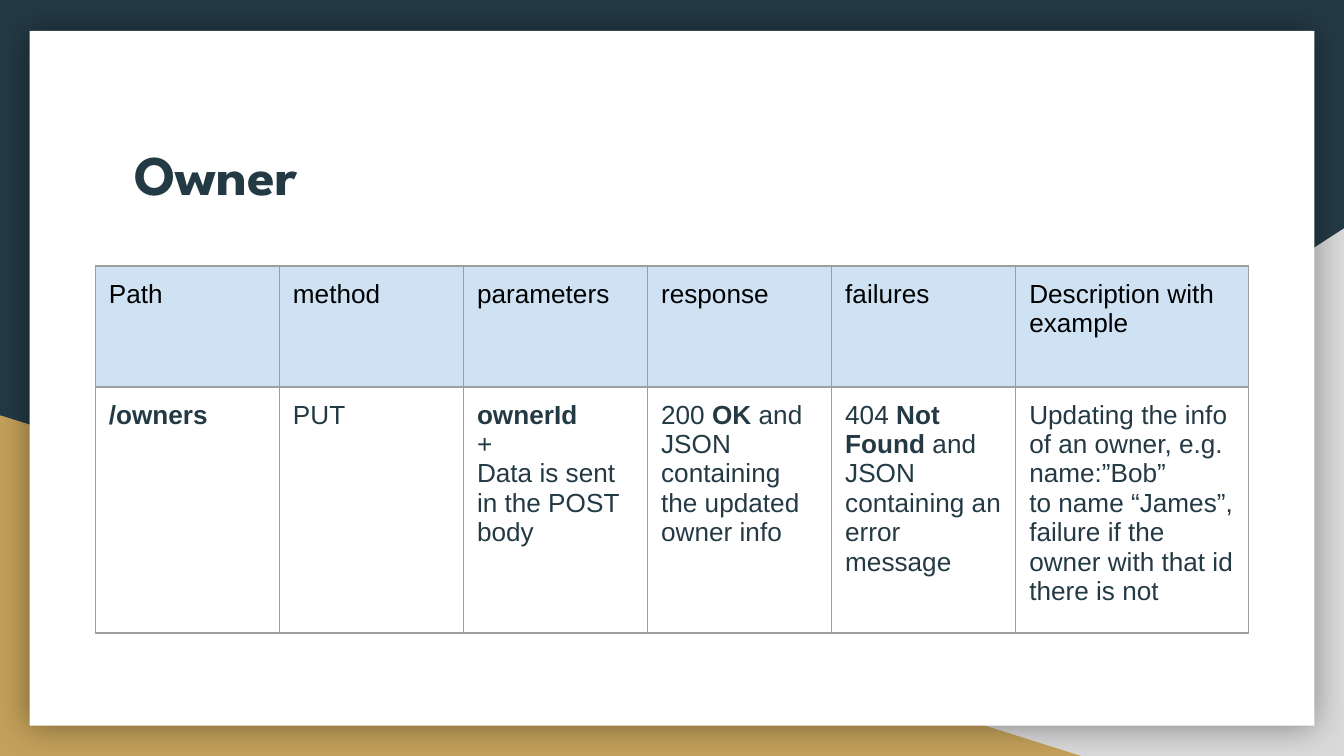
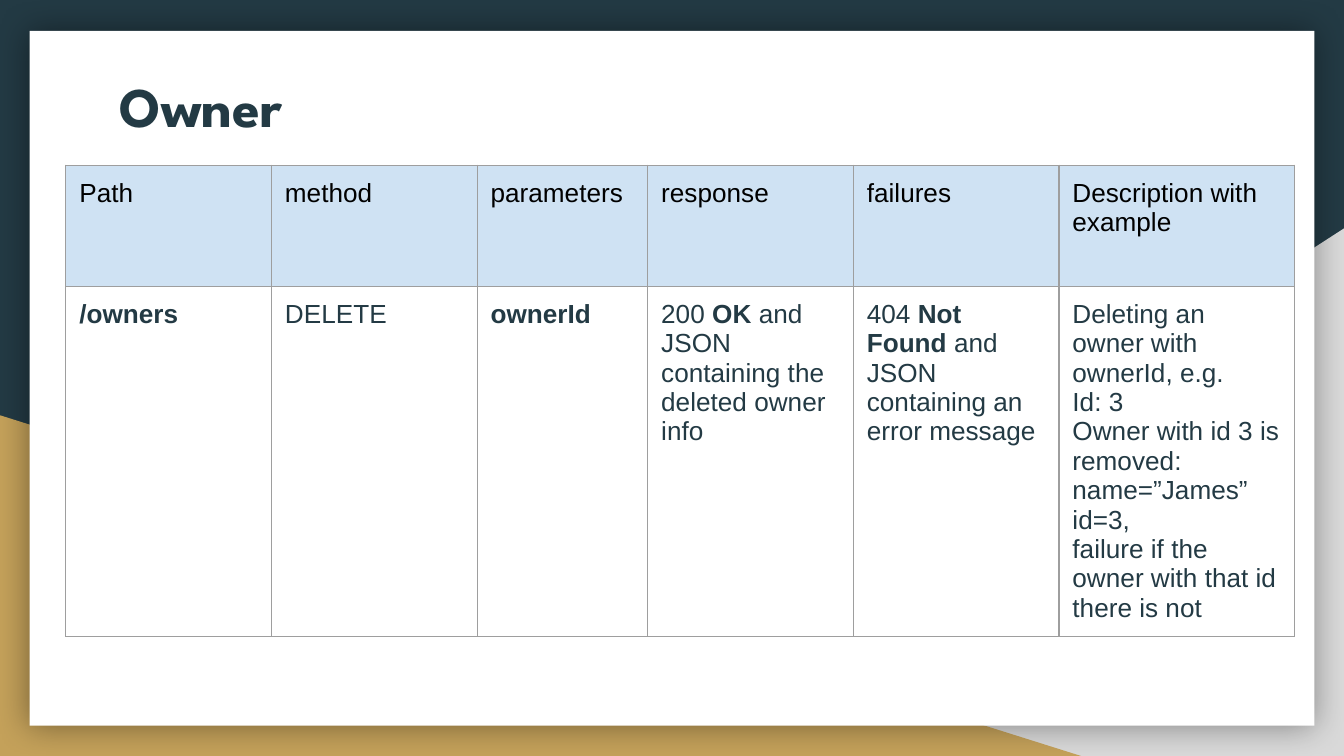
import pptx
import pptx.dml.color
import pptx.enum.shapes
import pptx.enum.text
import pptx.oxml
import pptx.oxml.ns
import pptx.util

Inches = pptx.util.Inches
Pt = pptx.util.Pt
RGBColor = pptx.dml.color.RGBColor
MSO_SHAPE = pptx.enum.shapes.MSO_SHAPE

NAVY = RGBColor(0x23, 0x3A, 0x44)
GOLD = RGBColor(0xC4, 0xA1, 0x5A)
SILVER = RGBColor(0xD9, 0xD9, 0xD9)
WHITE = RGBColor(0xFF, 0xFF, 0xFF)
BLACK = RGBColor(0x00, 0x00, 0x00)
HEADER_BLUE = RGBColor(0xCF, 0xE2, 0xF3)
BORDER_GREY = RGBColor(0x9E, 0x9E, 0x9E)
TITLE_FONT = "League Spartan"
BODY_FONT = "Arial"
MARGIN = Inches(0.1)
NAMESPACE = pptx.oxml.ns.nsdecls("a")

HEADERS = ["Path", "method", "parameters", "response", "failures",
           "Description with example"]
NOT_FOUND = "404 **Not Found** and JSON\ncontaining an error message"

# Lines of a cell are paragraphs; ** switches bold on and off.
ENDPOINTS = [
    {
        "title_box": (0.9, 0.94, 8.21, 1.04),
        "table_corner": (0.71, 1.98),
        "columns": [1.37, 1.37, 1.37, 1.37, 1.37, 1.73],
        "rows": [0.9, 1.83],
        "cells": [
            "**/owners**",
            "PUT",
            "**ownerId**\n+\nData is sent in the POST body",
            "200 **OK** and JSON containing the updated owner info",
            NOT_FOUND,
            "Updating the info of an owner, e.g.\nname:”Bob”\n"
            "to name “James”, failure if the owner with that id there is not",
        ],
    },
    {
        "title_box": (0.79, 0.43, 8.21, 0.84),
        "table_corner": (0.49, 1.23),
        "columns": [1.53, 1.53, 1.27, 1.53, 1.53, 1.75],
        "rows": [0.9, 2.6],
        "cells": [
            "**/owners**",
            "DELETE",
            "**ownerId**",
            "200 **OK **and JSON containing the deleted owner info",
            NOT_FOUND,
            "Deleting an owner with ownerId, e.g.\nId: 3\n"
            "Owner with id 3 is removed:\nname=”James”\nid=3,\n"
            "failure if the owner with that id there is not",
        ],
    },
]


def set_margins(target):
    for side in ("left", "right", "top", "bottom"):
        setattr(target, f"margin_{side}", MARGIN)


def fill_cell(cell, text, color):
    """Write marked-up text into a cell and draw its four borders."""
    set_margins(cell)
    for number, line in enumerate(text.split("\n")):
        frame = cell.text_frame
        para = frame.add_paragraph() if number else frame.paragraphs[0]
        para.font.name = BODY_FONT
        para.font.size = Pt(14)
        para.font.color.rgb = color
        for index, part in enumerate(line.split("**")):
            if part:
                span = para.add_run()
                span.text = part
                span.font.bold = index % 2 == 1
    properties = cell._tc.get_or_add_tcPr()
    for position, edge in enumerate("LRTB"):
        properties.insert(position, pptx.oxml.parse_xml(
            f'<a:ln{edge} {NAMESPACE} w="{Pt(0.75)}"><a:solidFill>'
            f'<a:srgbClr val="{BORDER_GREY}"/></a:solidFill></a:ln{edge}>'))


deck = pptx.Presentation()
deck.slide_width = Inches(10)
deck.slide_height = Inches(10) * 9 // 16
layout = deck.slide_layouts[5]
layout.background.fill.solid()
layout.background.fill.fore_color.rgb = NAVY
pages = [deck.slides.add_slide(layout) for endpoint in ENDPOINTS]

# Shared backdrop: drawn once, then moved behind the layout's title
backdrop = [
    (MSO_SHAPE.RIGHT_TRIANGLE, (3.92, 1.7, 6.08, 3.93), SILVER),
    (MSO_SHAPE.RIGHT_TRIANGLE, (0, 3.09, 8.06, 2.54), GOLD),
    (MSO_SHAPE.RECTANGLE, (0.22, 0.23, 9.56, 5.17), WHITE),
]
layout_title = layout.placeholders[0].element
for kind, place, color in backdrop:
    shape = pages[0].shapes.add_shape(kind, *map(Inches, place))
    shape.shadow.inherit = False
    shape.fill.solid()
    shape.fill.fore_color.rgb = color
    shape.line.fill.background()
    if color == SILVER:
        shape.element.spPr.xfrm.set("flipH", "1")
    if color == WHITE:
        effects = shape.element.spPr.find(pptx.oxml.ns.qn("a:effectLst"))
        effects.append(pptx.oxml.parse_xml(
            f'<a:outerShdw {NAMESPACE} blurRad="{Pt(18)}" dist="0" dir="0" '
            f'algn="ctr" rotWithShape="0"><a:srgbClr val="{BLACK}">'
            '<a:alpha val="40000"/></a:srgbClr></a:outerShdw>'))
    layout_title.addprevious(shape.element)

for page, endpoint in zip(pages, ENDPOINTS):
    title = page.shapes.title
    title.left, title.top, title.width, title.height = map(
        Inches, endpoint["title_box"])
    frame = title.text_frame
    frame.text = "Owner"
    frame.word_wrap = True
    frame.auto_size = pptx.enum.text.MSO_AUTO_SIZE.NONE
    frame.vertical_anchor = pptx.enum.text.MSO_ANCHOR.TOP
    set_margins(frame)
    para = frame.paragraphs[0]
    para.alignment = pptx.enum.text.PP_ALIGN.LEFT
    para.font.name = TITLE_FONT
    para.font.size = Pt(30)
    para.font.bold = True
    para.font.color.rgb = NAVY

    left, top = endpoint["table_corner"]
    columns, rows = endpoint["columns"], endpoint["rows"]
    table = page.shapes.add_table(
        len(rows), len(columns), Inches(left), Inches(top),
        Inches(sum(columns)), Inches(sum(rows))).table
    table.first_row = False
    table.horz_banding = False
    for row, height in zip(table.rows, rows):
        row.height = Inches(height)
    for index, width in enumerate(columns):
        table.columns[index].width = Inches(width)
        header, body = table.cell(0, index), table.cell(1, index)
        fill_cell(header, HEADERS[index], BLACK)
        header.fill.solid()
        header.fill.fore_color.rgb = HEADER_BLUE
        fill_cell(body, endpoint["cells"][index], NAVY)
        body.fill.background()

deck.save("out.pptx")
